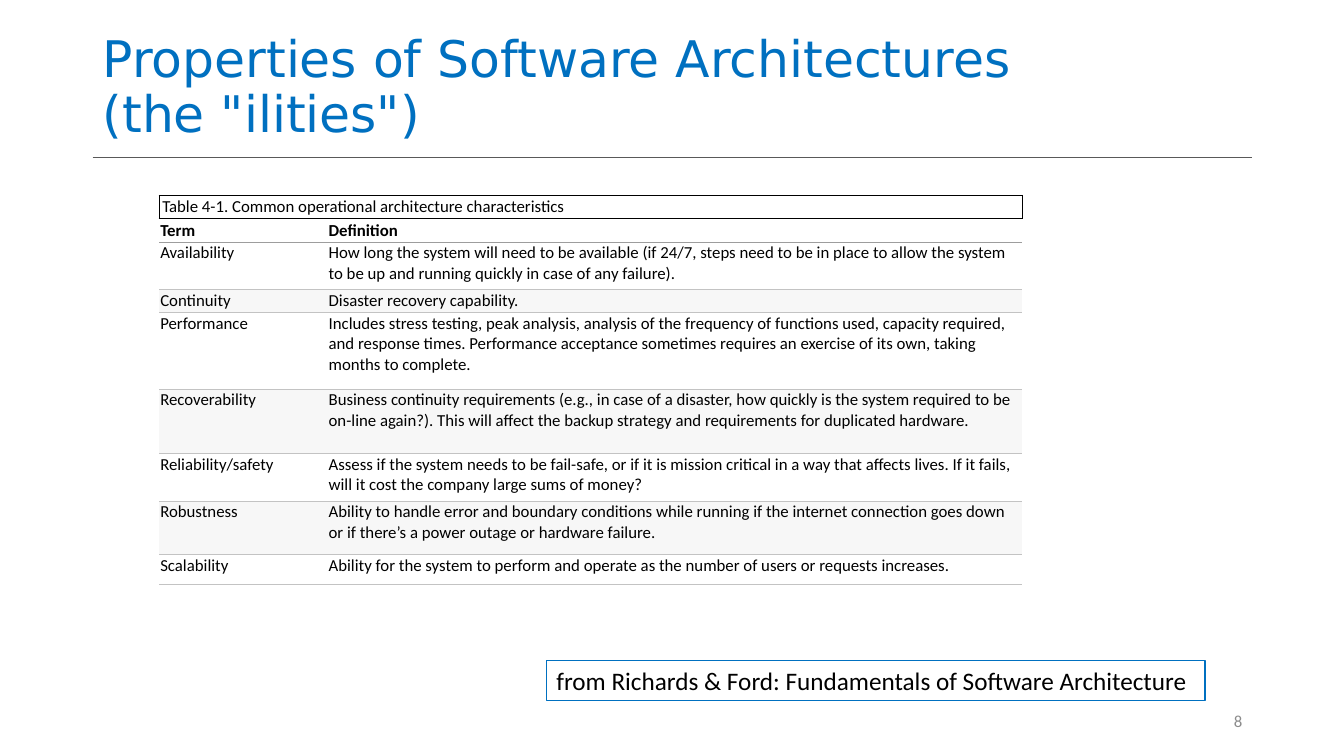
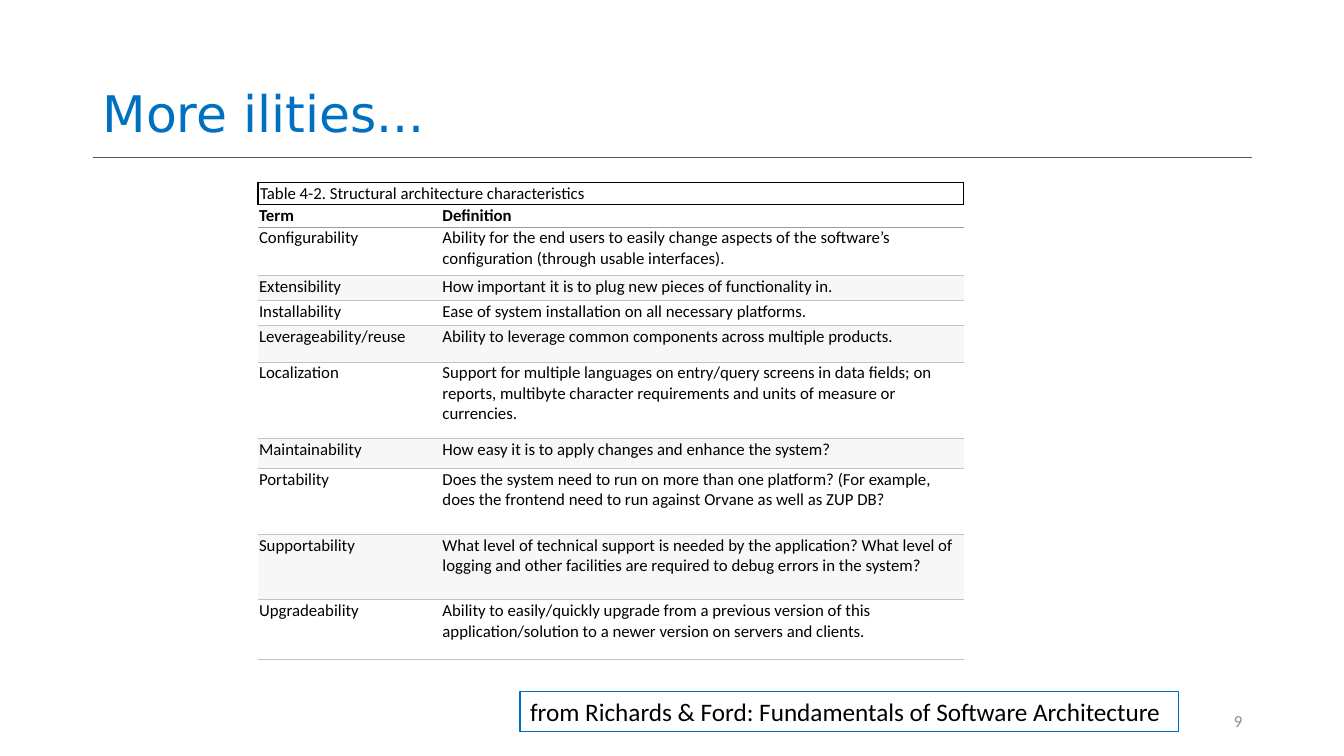
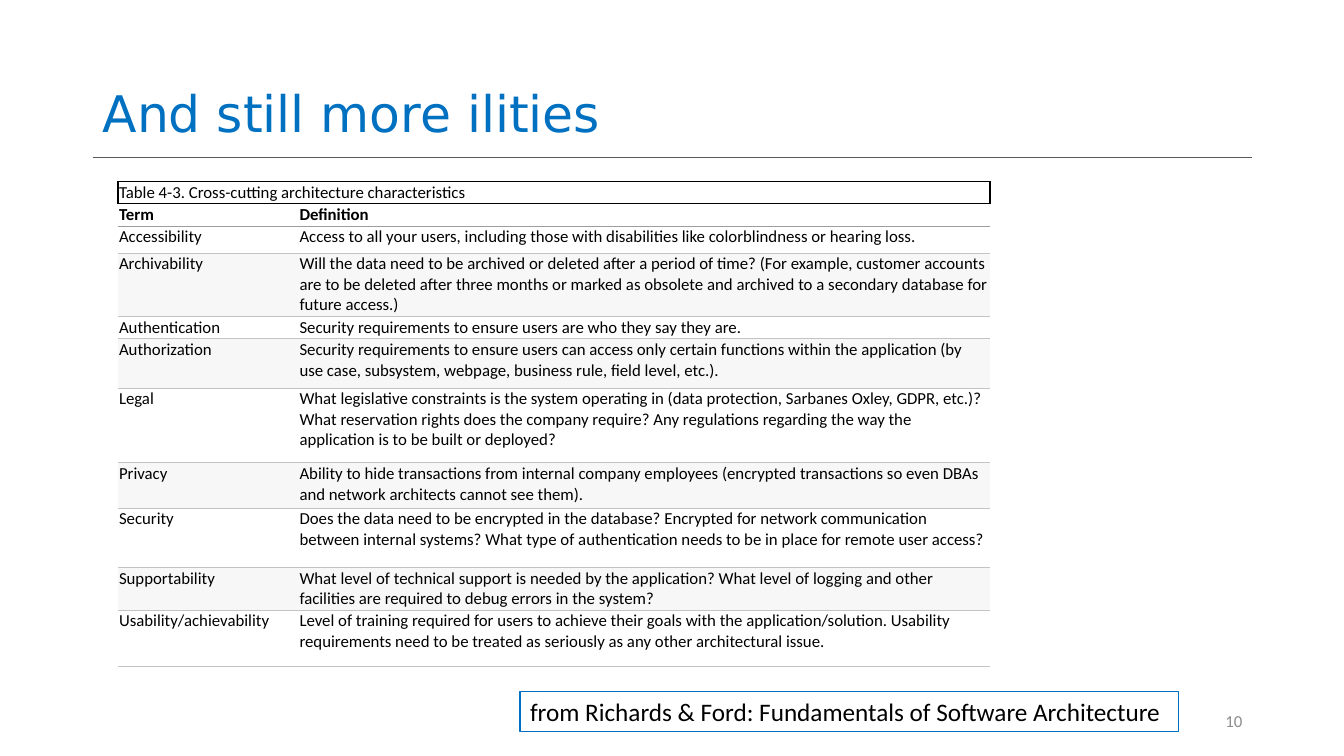
from dataclasses import dataclass
from typing import Any

from lxml import etree
from pptx import Presentation
from pptx.dml.color import RGBColor
from pptx.enum.shapes import MSO_CONNECTOR, MSO_SHAPE
from pptx.enum.text import MSO_ANCHOR, MSO_AUTO_SIZE, PP_ALIGN
from pptx.oxml.ns import qn
from pptx.util import Emu, Inches, Pt

STRAIGHT = MSO_CONNECTOR.STRAIGHT
RECTANGLE = MSO_SHAPE.RECTANGLE
TOP, MIDDLE, BOTTOM = MSO_ANCHOR.TOP, MSO_ANCHOR.MIDDLE, MSO_ANCHOR.BOTTOM
RIGHT = PP_ALIGN.RIGHT
FIT_SHAPE = MSO_AUTO_SIZE.SHAPE_TO_FIT_TEXT

WIDTH, HEIGHT = Inches(13.33), Inches(7.5)
BLUE, BLACK, WHITE = "0070C0", "000000", "FFFFFF"
NUMBER_GREY, BAND_GREY = "8C8C8C", "F7F7F7"
RULE_GREY, HEAD_LINE, ROW_LINE = "595959", "9D9D9D", "C3C3C3"
TITLE_FONT = {"name": "DejaVu Sans", "size": Pt(36), "color": BLUE}
CELL_FONT = {"name": "Calibri", "size": Pt(12), "color": BLACK}
HEAD_FONT = CELL_FONT | {"bold": True}
SOURCE_FONT = CELL_FONT | {"size": Pt(18)}
NUMBER_FONT = CELL_FONT | {"color": NUMBER_GREY}
SOURCE = "from Richards & Ford: Fundamentals of Software Architecture"
FIRST_NUMBER = 8
CELL_INSET = 0.01


@dataclass(frozen=True)
class Area:
    """Percentages of the slide's width and height."""
    left: float
    top: float
    width: float
    height: float

    def lengths(self) -> tuple[Emu, Emu, Emu, Emu]:
        return across(self.left), down(self.top), across(self.width), down(self.height)


@dataclass(frozen=True)
class Entry:
    term: str
    definition: str
    height: float


@dataclass(frozen=True)
class Topic:
    title: str
    caption: str
    caption_inset: float
    left: float
    top: float
    columns: tuple[float, float]
    head_height: float
    entries: tuple[Entry, ...]
    source: Area


TITLE_AREA = Area(6.9, 0.27, 86.27, 19.33)
RULE_AREA = Area(6.9, 20.8, 86.27, 0)
NUMBER_AREA = Area(70.67, 92.67, 22.5, 5.33)
LOW_SOURCE = Area(38.7, 91.47, 49, 5.33)

TOPICS = (
    Topic(
        "Properties of Software Architectures\v(the \"ilities\")",
        "Table 4-1. Common operational architecture characteristics",
        0.03, 11.85, 25.87, (12.53, 51.69), 3.07,
        (
            Entry("Availability", "How long the system will need to be available (if 24/7, steps need to be in place "
                  "to allow the system to be up and running quickly in case of any failure).", 6.27),
            Entry("Continuity", "Disaster recovery capability.", 3.07),
            Entry("Performance", "Includes stress testing, peak analysis, analysis of the frequency of functions used, "
                  "capacity required, and response times. Performance acceptance sometimes requires an exercise of "
                  "its own, taking months to complete.", 10.13),
            Entry("Recoverability", "Business continuity requirements (e.g., in case of a disaster, how quickly is the "
                  "system required to be on-line again?). This will affect the backup strategy and requirements for "
                  "duplicated hardware.", 8.53),
            Entry("Reliability/safety", "Assess if the system needs to be fail-safe, or if it is mission critical in a "
                  "way that affects lives. If it fails, will it cost the company large sums of money?", 6.27),
            Entry("Robustness", "Ability to handle error and boundary conditions while running if the internet "
                  "connection goes down or if there’s a power outage or hardware failure.", 7.07),
            Entry("Scalability", "Ability for the system to perform and operate as the number of users or requests "
                  "increases.", 4),
        ),
        Area(40.66, 87.33, 49, 5.33),
    ),
    Topic(
        "More ilities...",
        "Table 4-2. Structural architecture characteristics",
        0.02, 19.2, 24.13, (13.65, 38.85), 2.8,
        (
            Entry("Configurability", "Ability for the end users to easily change aspects of the software’s "
                  "configuration (through usable interfaces).", 6.4),
            Entry("Extensibility", "How important it is to plug new pieces of functionality in.", 3.33),
            Entry("Installability", "Ease of system installation on all necessary platforms.", 3.33),
            Entry("Leverageability/reuse", "Ability to leverage common components across multiple products.", 4.8),
            Entry("Localization", "Support for multiple languages on entry/query screens in data fields; on reports, "
                  "multibyte character requirements and units of measure or currencies.", 10.13),
            Entry("Maintainability", "How easy it is to apply changes and enhance the system?", 4),
            Entry("Portability", "Does the system need to run on more than one platform? (For example, does the "
                  "frontend need to run against Orvane as well as ZUP DB?", 8.67),
            Entry("Supportability", "What level of technical support is needed by the application? What level of "
                  "logging and other facilities are required to debug errors in the system?", 8.67),
            Entry("Upgradeability", "Ability to easily/quickly upgrade from a previous version of this "
                  "application/solution to a newer version on servers and clients.", 7.87),
        ),
        LOW_SOURCE,
    ),
    Topic(
        "And still more ilities",
        "Table 4-3. Cross-cutting architecture characteristics",
        0.01, 8.78, 24, (13.43, 51.45), 2.8,
        (
            Entry("Accessibility", "Access to all your users, including those with disabilities like colorblindness or "
                  "hearing loss.", 3.6),
            Entry("Archivability", "Will the data need to be archived or deleted after a period of time? (For example, "
                  "customer accounts are to be deleted after three months or marked as obsolete and archived to a "
                  "secondary database for future access.)", 8.4),
            Entry("Authentication", "Security requirements to ensure users are who they say they are.", 2.8),
            Entry("Authorization", "Security requirements to ensure users can access only certain functions within the "
                  "application (by use case, subsystem, webpage, business rule, field level, etc.).", 6.53),
            Entry("Legal", "What legislative constraints is the system operating in (data protection, Sarbanes Oxley, "
                  "GDPR, etc.)? What reservation rights does the company require? Any regulations regarding the way "
                  "the application is to be built or deployed?", 9.87),
            Entry("Privacy", "Ability to hide transactions from internal company employees (encrypted transactions so "
                  "even DBAs and network architects cannot see them).", 6),
            Entry("Security", "Does the data need to be encrypted in the database? Encrypted for network communication "
                  "between internal systems? What type of authentication needs to be in place for remote user "
                  "access?", 7.87),
            Entry("Supportability", "What level of technical support is needed by the application? What level of "
                  "logging and other facilities are required to debug errors in the system?", 5.47),
            Entry("Usability/achievability", "Level of training required for users to achieve their goals with the "
                  "application/solution. Usability requirements need to be treated as seriously as any other "
                  "architectural issue.", 7.47),
        ),
        LOW_SOURCE,
    ),
)


def across(share: float) -> Emu:
    return Emu(round(WIDTH * share / 100))


def down(share: float) -> Emu:
    return Emu(round(HEIGHT * share / 100))


def rgb(color: str) -> RGBColor:
    return RGBColor.from_string(color)


def apply(target: Any, values: dict[str, Any]) -> None:
    for name, value in values.items():
        setattr(target, name, value)


def write(frame: Any, text: str, font: dict[str, Any], **layout: Any) -> None:
    para = frame.paragraphs[0]
    para.text = text
    apply(para, layout)
    for span in para.runs:
        apply(span.font, {name: value for name, value in font.items() if name != "color"})
        span.font.color.rgb = rgb(font["color"])


def add_label(page: Any, area: Area, text: str, font: dict[str, Any], anchor: Any, **layout: Any) -> None:
    frame = page.shapes.add_textbox(*area.lengths()).text_frame
    apply(frame, {"word_wrap": True, "vertical_anchor": anchor})
    write(frame, text, font, **layout)


def add_rule(page: Any) -> None:
    left, top, width, height = RULE_AREA.lengths()
    rule = page.shapes.add_connector(STRAIGHT, left, top, left + width, top + height)
    rule.line.color.rgb = rgb(RULE_GREY)
    rule.line.width = Pt(0.5)
    etree.SubElement(rule._element.spPr, qn("a:effectLst"))


def add_source(page: Any, area: Area) -> None:
    box = page.shapes.add_shape(RECTANGLE, *area.lengths())
    box.shadow.inherit = False
    box.fill.background()
    box.line.color.rgb = rgb(BLUE)
    box.line.width = Pt(1)
    apply(box.text_frame, {"word_wrap": False, "auto_size": FIT_SHAPE, "vertical_anchor": MIDDLE})
    write(box.text_frame, SOURCE, SOURCE_FONT, alignment=PP_ALIGN.LEFT)


def set_borders(cell: Any, colors: dict[str, str], width: float) -> None:
    properties = cell._tc.get_or_add_tcPr()
    for side in "LRTB":
        line = etree.SubElement(properties, qn(f"a:ln{side}"), w=str(Pt(width)))
        if side in colors:
            fill = etree.SubElement(line, qn("a:solidFill"))
            etree.SubElement(fill, qn("a:srgbClr"), val=colors[side])
        else:
            etree.SubElement(line, qn("a:noFill"))


def fill_cell(cell: Any, text: str, font: dict[str, Any], anchor: Any, back: str,
              borders: dict[str, str], width: float = 0.38, inset: float = CELL_INSET) -> None:
    set_borders(cell, borders, width)
    cell.fill.solid()
    cell.fill.fore_color.rgb = rgb(back)
    apply(cell, {"vertical_anchor": anchor, "margin_left": Inches(inset), "margin_right": Inches(inset),
                 "margin_top": Inches(CELL_INSET), "margin_bottom": Inches(CELL_INSET)})
    write(cell.text_frame, text, font)


def add_definitions(page: Any, topic: Topic) -> None:
    heights = [topic.head_height] * 2 + [entry.height for entry in topic.entries]
    area = Area(topic.left, topic.top, sum(topic.columns), sum(heights))
    table = page.shapes.add_table(len(heights), len(topic.columns), *area.lengths()).table
    apply(table, {"first_row": False, "horz_banding": False})
    for column, share in zip(table.columns, topic.columns):
        column.width = across(share)
    for row, share in zip(table.rows, heights):
        row.height = down(share)

    caption, covered = table.cell(0, 0), table.cell(0, 1)
    caption.merge(covered)
    frame_lines = dict.fromkeys("LRTB", BLACK)
    fill_cell(caption, topic.caption, CELL_FONT, MIDDLE, WHITE, frame_lines, 1, topic.caption_inset)
    set_borders(covered, dict.fromkeys("RTB", BLACK), 1)

    for column, heading in enumerate(("Term", "Definition")):
        fill_cell(table.cell(1, column), heading, HEAD_FONT, BOTTOM, WHITE, {"T": BLACK, "B": HEAD_LINE})
    for index, entry in enumerate(topic.entries):
        back = BAND_GREY if index % 2 else WHITE
        borders = {"T": ROW_LINE if index else HEAD_LINE, "B": ROW_LINE}
        for column, text in enumerate((entry.term, entry.definition)):
            fill_cell(table.cell(index + 2, column), text, CELL_FONT, TOP, back, borders)


def add_page(deck: Any, topic: Topic, number: int) -> None:
    page = deck.slides.add_slide(deck.slide_layouts[6])
    add_rule(page)
    add_label(page, TITLE_AREA, topic.title, TITLE_FONT, BOTTOM, line_spacing=0.9)
    add_definitions(page, topic)
    add_label(page, NUMBER_AREA, str(number), NUMBER_FONT, MIDDLE, alignment=RIGHT)
    add_source(page, topic.source)


def main() -> None:
    deck = Presentation()
    apply(deck, {"slide_width": WIDTH, "slide_height": HEIGHT})
    for number, topic in enumerate(TOPICS, FIRST_NUMBER):
        add_page(deck, topic, number)
    deck.save("out.pptx")


if __name__ == "__main__":
    main()
